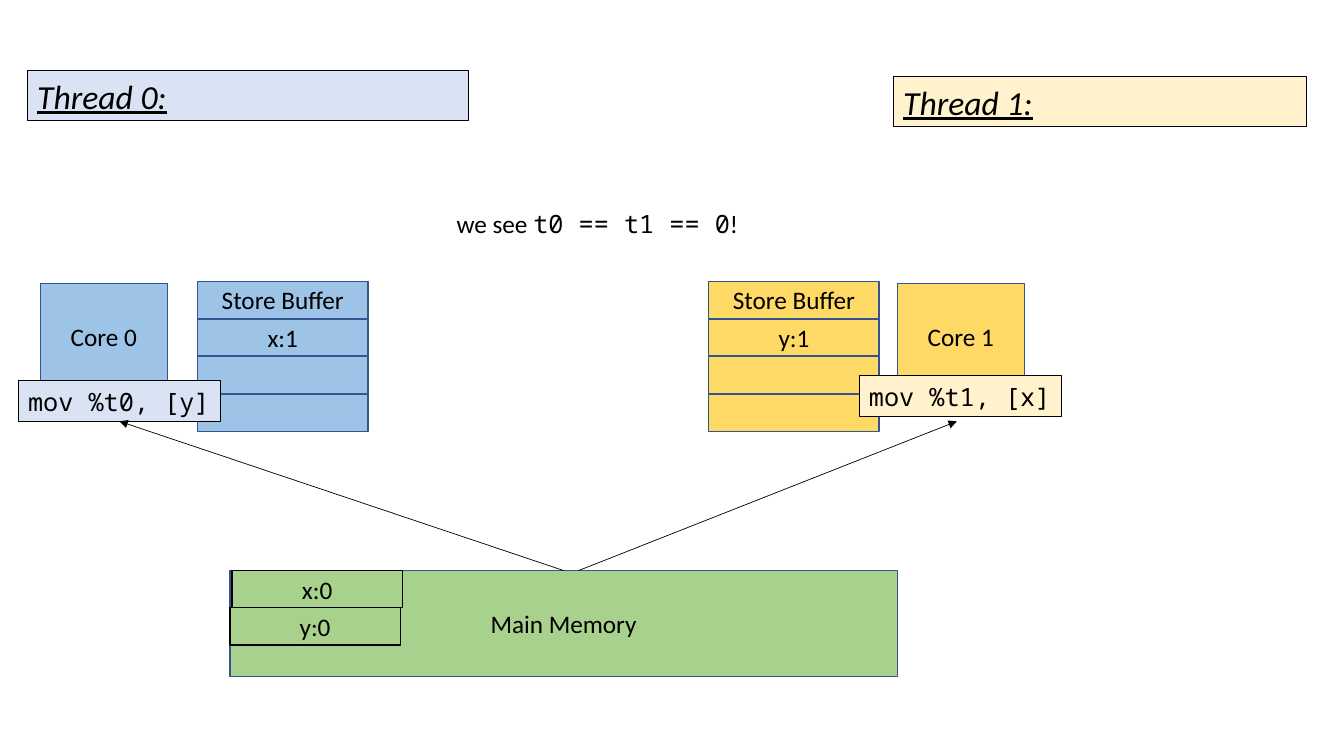
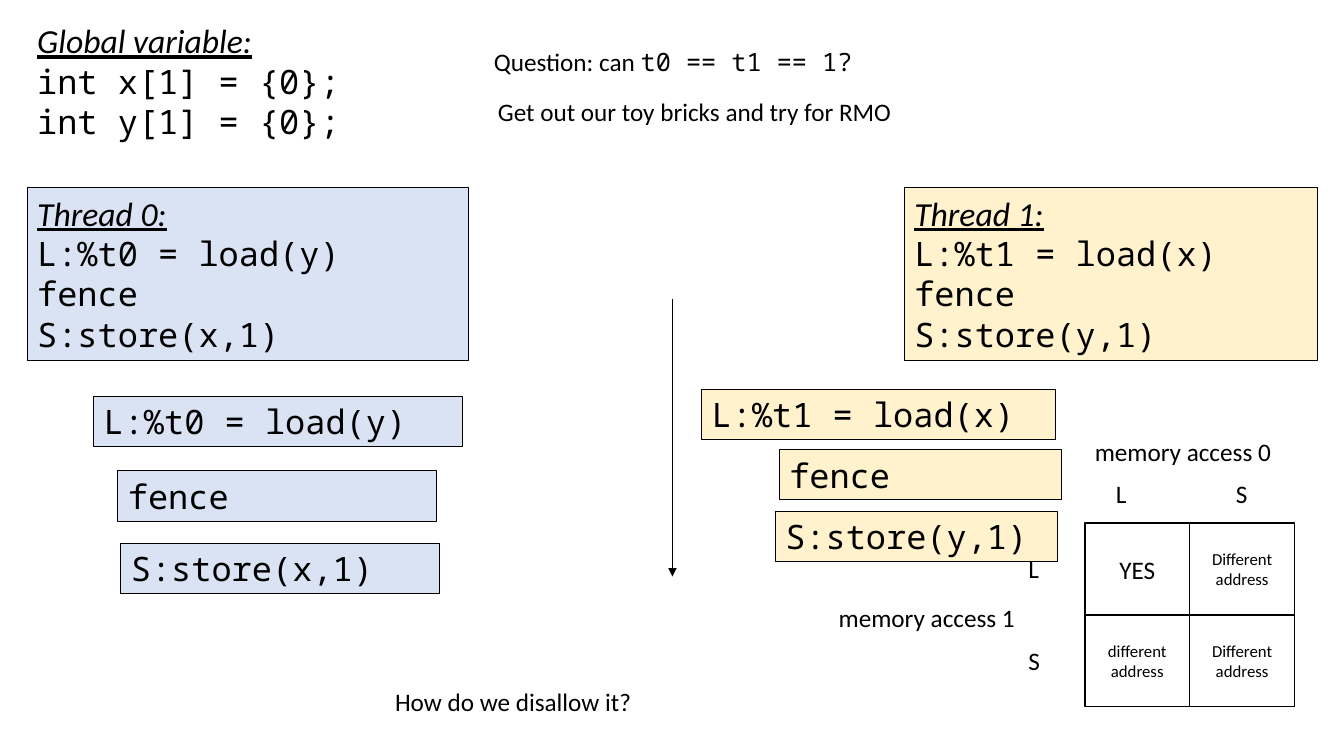
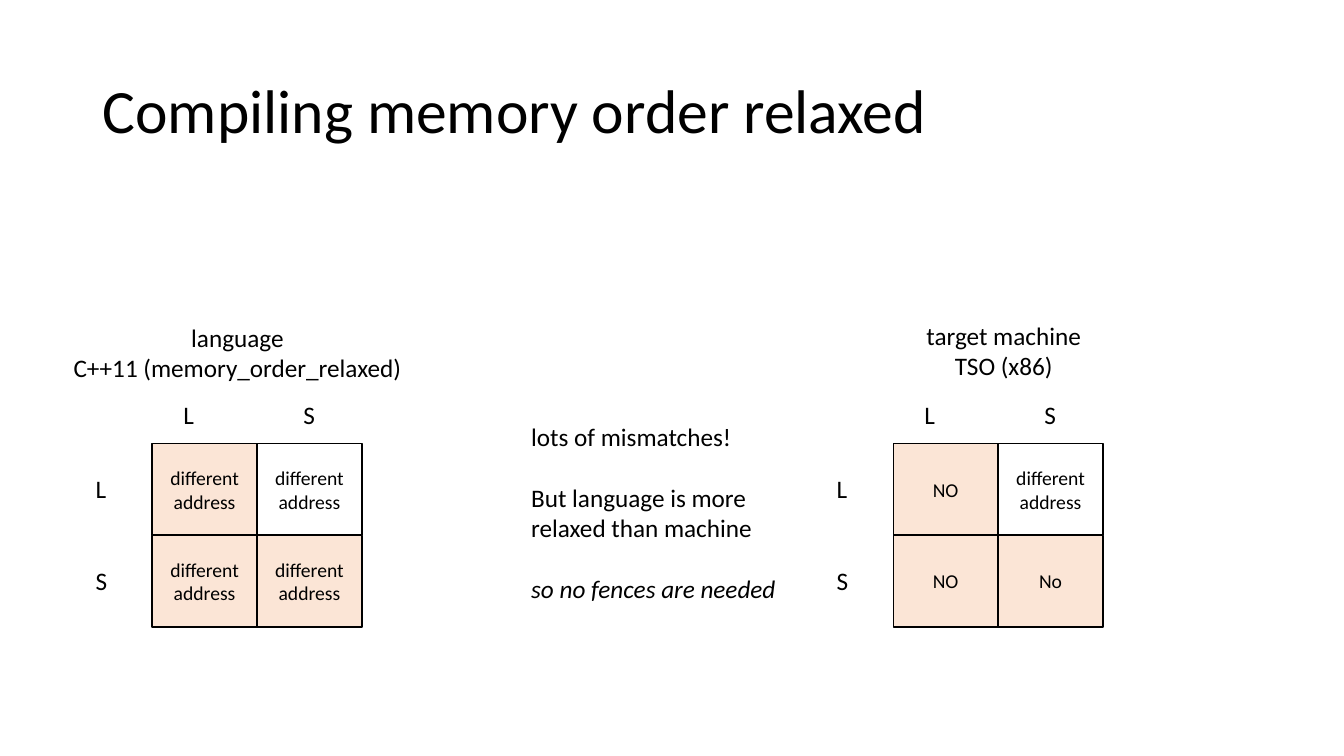
from dataclasses import dataclass, replace
from typing import Any, NamedTuple

import lxml.etree
import pptx
import pptx.dml.color
import pptx.enum.shapes
import pptx.enum.text
import pptx.oxml.ns
import pptx.util

Inches = pptx.util.Inches
Pt = pptx.util.Pt

SANS = "Calibri"
MONO = "Noto Sans Mono"
COLOURS = {
    "ink": "000000",
    "white": "FFFFFF",
    "outline": "325491",
    "pale blue": "DAE3F3",
    "pale yellow": "FFF2CC",
    "blue": "9DC3E6",
    "yellow": "FFD966",
    "green": "A9D18E",
    "mismatch": "FBE5D6",
}
CELL_WIDTH, CELL_HEIGHT = 1.04, 0.91
SLOT_WIDTH, SLOT_HEIGHT = 1.69, 0.37
SLOT_STEP = 1.12 / 3


class Area(NamedTuple):
    left: float
    top: float
    width: float
    height: float


@dataclass(frozen=True)
class Span:
    text: str
    font: str = SANS
    italic: bool = False
    underline: bool = False


@dataclass(frozen=True)
class Line:
    spans: tuple[Span, ...]
    gap: float = 0
    spacing: float | None = None


@dataclass(frozen=True)
class Style:
    size: float = 18
    fill: str | None = None
    outline: str | None = None
    weight: float = 1
    centred: bool = False
    middle: bool = False
    wrap: bool = True


@dataclass(frozen=True)
class Cell:
    text: str
    size: float = 14
    fill: str = "mismatch"


@dataclass(frozen=True)
class Core:
    name: str
    left: float
    buffer_left: float
    stored: str
    fill: str


LABEL = Style(wrap=False)
HEADING = Style(wrap=False, centred=True)
BLOCK = Style(outline="outline", centred=True, middle=True)
BLUE_PANEL = Style(size=24, fill="pale blue", outline="ink", weight=0.75)
YELLOW_PANEL = replace(BLUE_PANEL, fill="pale yellow")


def colour(name: str) -> pptx.dml.color.RGBColor:
    return pptx.dml.color.RGBColor.from_string(COLOURS[name])


def sans(text: str) -> list[Line]:
    return [Line((Span(part),)) for part in text.split("\n")]


def code(text: str) -> list[Line]:
    return [Line((Span(part, MONO),)) for part in text.split("\n")]


def caption(text: str) -> list[Line]:
    return [Line((Span(text, italic=True, underline=True),))]


def draw_box(page: Any, area: Area, lines: list[Line], style: Style) -> Any:
    """Draw a rectangle if the style has an outline, otherwise a text box."""
    place = [Inches(length) for length in area]
    if style.outline:
        box = page.shapes.add_shape(pptx.enum.shapes.MSO_SHAPE.RECTANGLE, *place)
        box.shadow.inherit = False
        box.line.color.rgb = colour(style.outline)
        box.line.width = Pt(style.weight)
    else:
        box = page.shapes.add_textbox(*place)
    if style.fill:
        box.fill.solid()
        box.fill.fore_color.rgb = colour(style.fill)

    frame = box.text_frame
    frame.word_wrap = style.wrap
    anchors = pptx.enum.text.MSO_ANCHOR
    frame.vertical_anchor = anchors.MIDDLE if style.middle else anchors.TOP
    if not style.wrap:
        frame.auto_size = pptx.enum.text.MSO_AUTO_SIZE.SHAPE_TO_FIT_TEXT
    aligns = pptx.enum.text.PP_ALIGN
    for index, line in enumerate(lines):
        para = frame.add_paragraph() if index else frame.paragraphs[0]
        para.alignment = aligns.CENTER if style.centred else aligns.LEFT
        if line.gap:
            para.space_before = Pt(line.gap)
        if line.spacing:
            para.line_spacing = line.spacing
        for span in line.spans:
            run = para.add_run()
            run.text = span.text
            run.font.name = span.font
            run.font.size = Pt(style.size)
            run.font.color.rgb = colour("ink")
            run.font.italic = span.italic
            run.font.underline = span.underline
    return box


def draw_arrow(page: Any, start: tuple[float, float], end: tuple[float, float]) -> Any:
    arrow = page.shapes.add_connector(
        pptx.enum.shapes.MSO_CONNECTOR.STRAIGHT,
        *(Inches(length) for length in (*start, *end)),
    )
    arrow.line.color.rgb = colour("ink")
    arrow.line.width = Pt(0.5)
    qn = pptx.oxml.ns.qn
    properties = arrow.element.spPr
    head = lxml.etree.SubElement(properties.find(qn("a:ln")), qn("a:tailEnd"))
    head.set("type", "triangle")
    lxml.etree.SubElement(properties, qn("a:effectLst"))
    return arrow


def draw_matrix(page: Any, left: float, top: float, rows: list[list[Cell]]) -> None:
    """Draw a load/store grid with its row and column letters."""
    for index, letter in enumerate("LS"):
        column = Area(left + 0.21 + 1.19 * index, top - 0.49, 0.31, 0.4)
        row = Area(left - 0.66, top + 0.25 + CELL_HEIGHT * index, 0.31, 0.4)
        for area in (column, row):
            draw_box(page, area, sans(letter), LABEL)
    for row_index, cells in enumerate(rows):
        for column_index, cell in enumerate(cells):
            area = Area(
                left + CELL_WIDTH * column_index,
                top + CELL_HEIGHT * row_index,
                CELL_WIDTH,
                CELL_HEIGHT,
            )
            style = replace(BLOCK, size=cell.size, fill=cell.fill, outline="ink")
            draw_box(page, area, sans(cell.text), style)


def build_store_buffers(page: Any) -> None:
    draw_box(page, Area(0.27, 0.7, 4.38, 0.5), caption("Thread 0:"), BLUE_PANEL)
    draw_box(page, Area(8.86, 0.76, 4.1, 0.5), caption("Thread 1:"), YELLOW_PANEL)

    for core in (
        Core("Core 0", 0.4, 1.96, "x:1", "blue"),
        Core("Core 1", 8.9, 7.03, "y:1", "yellow"),
    ):
        style = replace(BLOCK, fill=core.fill)
        draw_box(page, Area(core.left, 2.81, 1.26, 1.05), sans(core.name), style)
        for index, text in enumerate(("Store Buffer", core.stored, "", "")):
            top = 2.79 + SLOT_STEP * index
            area = Area(core.buffer_left, top, SLOT_WIDTH, SLOT_HEIGHT)
            draw_box(page, area, sans(text) if text else [], style)

    green = replace(BLOCK, fill="green")
    memory = draw_box(page, Area(2.28, 5.66, 6.62, 1.05), sans("Main Memory"), green)
    for text, left, top in (("x:0", 2.3, 5.66), ("y:0", 2.28, 6.03)):
        area = Area(left, top, SLOT_WIDTH, SLOT_HEIGHT)
        draw_box(page, area, sans(text), replace(green, outline="ink"))

    outcome = Line((Span("we see "), Span("t0 == t1 == 0", MONO), Span("!")))
    draw_box(page, Area(4.43, 2.02, 3.02, 0.4), [outcome], LABEL)

    load_y = draw_box(
        page,
        Area(0.18, 3.78, 2.01, 0.4),
        code("mov %t0, [y]"),
        replace(BLUE_PANEL, size=18, wrap=False),
    )
    draw_box(
        page,
        Area(8.52, 3.73, 2.01, 0.4),
        code("mov %t1, [x]"),
        replace(YELLOW_PANEL, size=18, wrap=False),
    )
    arrow = draw_arrow(page, (5.59, 5.66), (1.19, 4.18))
    arrow.begin_connect(memory, 0)
    arrow.end_connect(load_y, 2)
    draw_arrow(page, (5.74, 5.66), (9.49, 4.18))


def build_fence_question(page: Any) -> None:
    draw_arrow(page, (6.67, 2.97), (6.67, 5.72))
    draw_box(
        page,
        Area(0.27, 0.15, 4.78, 1.31),
        caption("Global variable:") + code("int x[1] = {0};\nint y[1] = {0};"),
        Style(size=24),
    )

    blue_steps = (
        ("L:%t0 = load(y)", Area(0.93, 3.93, 3.66, 0.5)),
        ("fence", Area(1.17, 4.67, 3.16, 0.5)),
        ("S:store(x,1)", Area(1.2, 5.39, 3.16, 0.5)),
    )
    yellow_steps = (
        ("L:%t1 = load(x)", Area(6.96, 3.86, 3.51, 0.5)),
        ("fence", Area(7.73, 4.46, 2.8, 0.5)),
        ("S:store(y,1)", Area(7.69, 5.07, 2.8, 0.5)),
    )
    for name, area, steps, style in (
        ("Thread 0:", Area(0.27, 1.86, 4.38, 1.72), blue_steps, BLUE_PANEL),
        ("Thread 1:", Area(8.97, 1.86, 4.1, 1.72), yellow_steps, YELLOW_PANEL),
    ):
        program = "\n".join(text for text, _ in steps)
        draw_box(page, area, caption(name) + code(program), style)
        for text, step_area in steps:
            draw_box(page, step_area, code(text), style)

    question = Line((Span("Question: can "), Span("t0 == t1 == 1?", MONO)))
    draw_box(page, Area(4.8, 0.41, 3.79, 0.4), [question], LABEL)
    for text, left, top, width in (
        ("Get out our toy bricks and try for RMO", 4.84, 0.91, 4.17),
        ("memory access 0", 10.76, 4.28, 1.97),
        ("memory access 1", 8.22, 5.93, 1.97),
        ("How do we disallow it?", 3.82, 6.76, 2.57),
    ):
        draw_box(page, Area(left, top, width, 0.4), sans(text), LABEL)

    different = Cell("Different address", 12, "white")
    draw_matrix(
        page,
        10.76,
        5.19,
        [
            [Cell("YES", 18, "white"), different],
            [replace(different, text="different address"), different],
        ],
    )


def build_relaxed_mapping(page: Any) -> None:
    title = Line((Span("Compiling memory order relaxed"),), spacing=0.9)
    draw_box(page, Area(0.92, 0.4, 11.5, 1.45), [title], Style(size=44, middle=True))

    language = "language\nC++11 (memory_order_relaxed)"
    draw_box(page, Area(0.61, 3.15, 3.49, 0.71), sans(language), HEADING)
    machine = "target machine\nTSO (x86)"
    draw_box(page, Area(9.08, 3.13, 1.75, 0.71), sans(machine), HEADING)

    different = Cell("different\naddress")
    agreed = replace(different, fill="white")
    draw_matrix(page, 1.51, 4.4, [[different, agreed], [different, different]])
    draw_matrix(page, 8.86, 4.4, [[Cell("NO"), agreed], [Cell("NO"), Cell("No")]])

    remarks = [
        Line((Span("lots of mismatches!"),)),
        Line((Span("But language is more"),), gap=22),
        Line((Span("relaxed than machine"),)),
        Line((Span("so no fences are needed", italic=True),), gap=22),
    ]
    draw_box(page, Area(5.17, 4.13, 2.7, 1.92), remarks, LABEL)


def main() -> None:
    deck = pptx.Presentation()
    deck.slide_width = Inches(13.33)
    deck.slide_height = Inches(7.5)
    for build in (build_store_buffers, build_fence_question, build_relaxed_mapping):
        build(deck.slides.add_slide(deck.slide_layouts[6]))
    deck.save("out.pptx")


if __name__ == "__main__":
    main()
